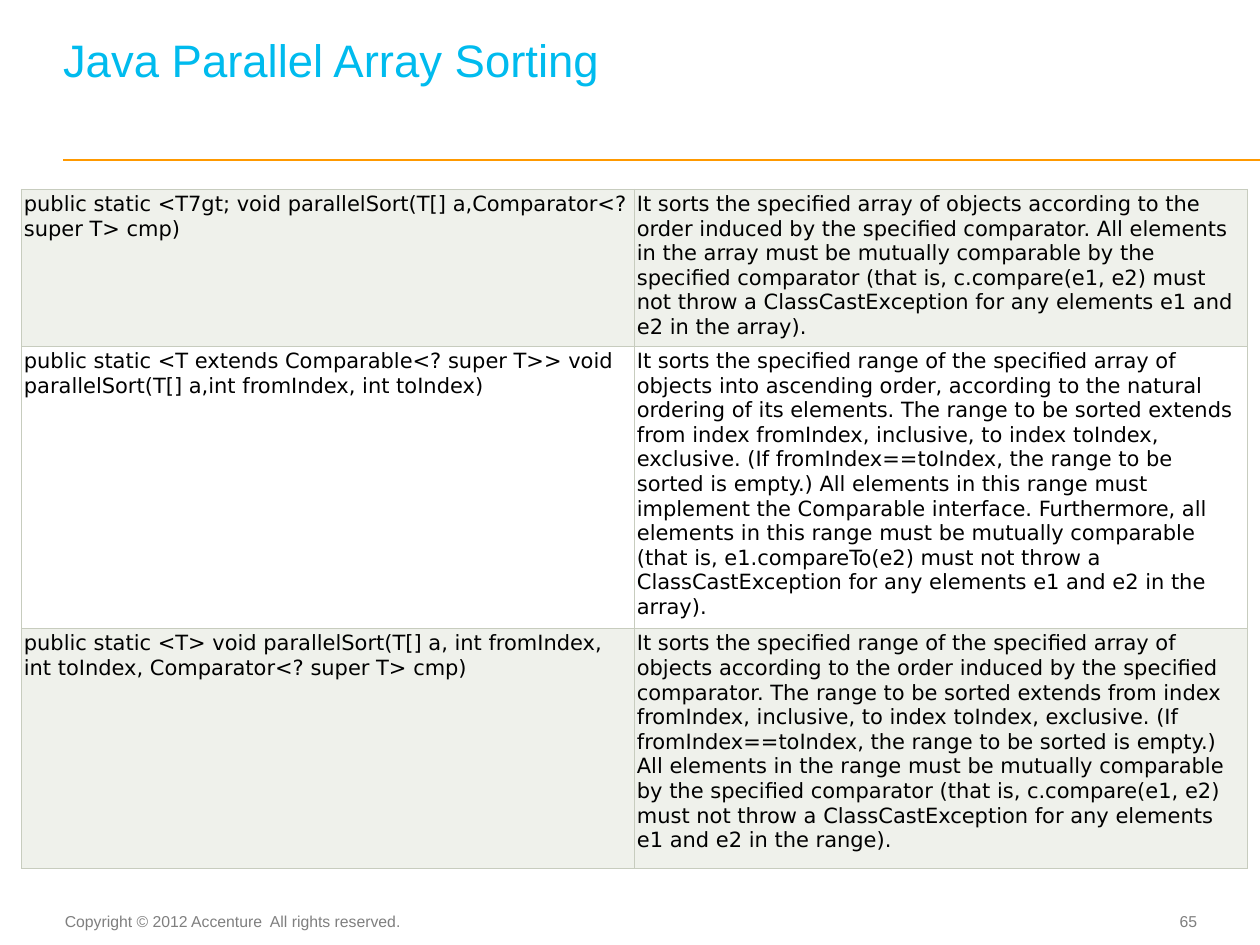
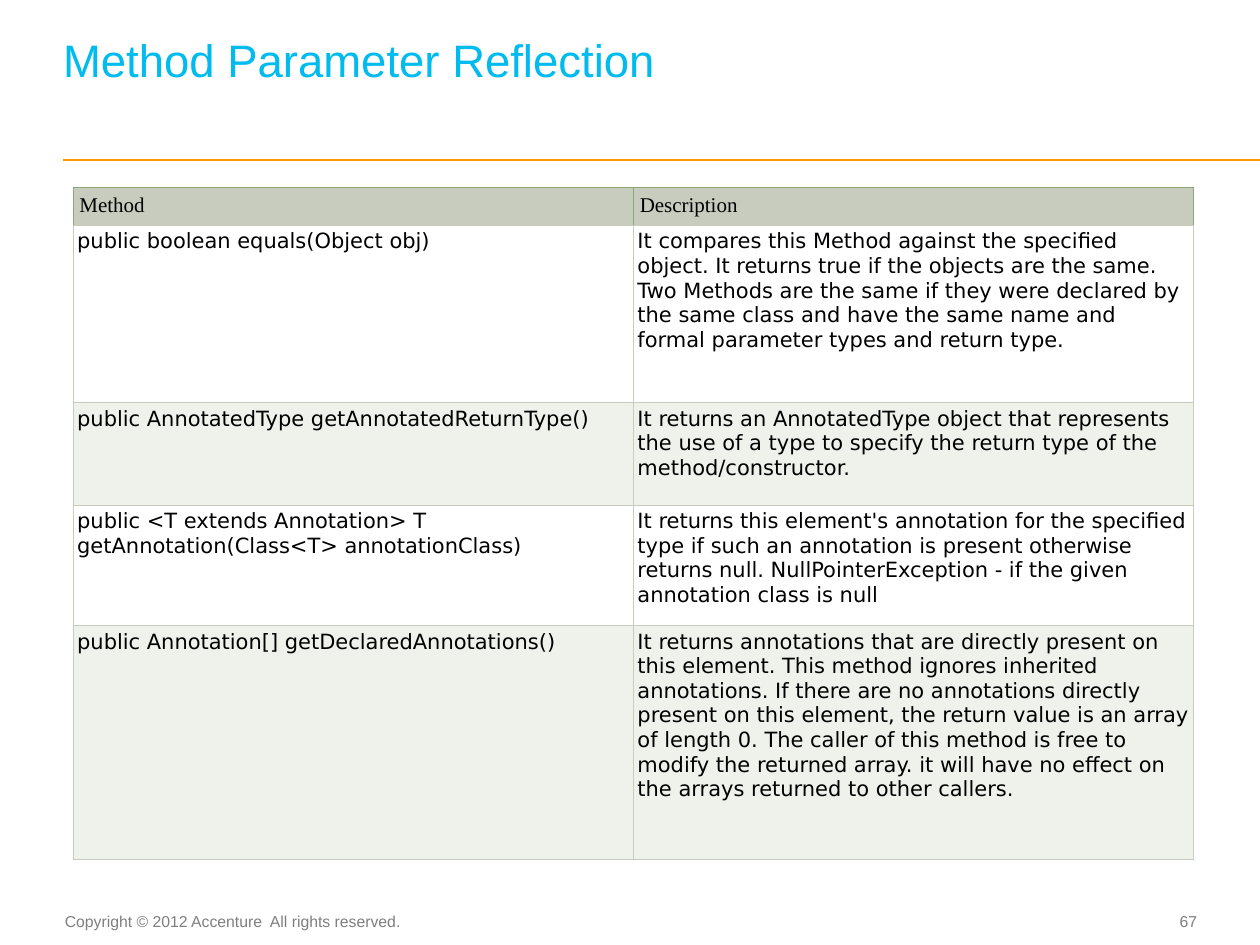
from dataclasses import dataclass

from lxml.etree import SubElement
from pptx import Presentation
from pptx.dml.color import RGBColor
from pptx.enum.shapes import MSO_CONNECTOR
from pptx.enum.text import MSO_ANCHOR, MSO_AUTO_SIZE, PP_ALIGN
from pptx.oxml.ns import qn
from pptx.util import Pt


@dataclass(frozen=True)
class Theme:
    title: str = "00BBEE"
    rule: str = "FF9900"
    footer: str = "7F7F7F"
    text: str = "000000"
    row: str = "FFFFFF"
    tinted_row: str = "EFF1EB"
    header_row: str = "C7CCBE"
    border: str = "C7CCBE"
    header_border: str = "90A47A"
    heading_font: str = "Arial"
    cell_font: str = "DejaVu Sans"
    header_font: str = "Times New Roman"
    title_size: float = 26
    cell_size: float = 12
    footer_size: float = 9
    rule_width: float = 1
    border_width: float = 0.6


THEME = Theme()
SLIDE_WIDTH, SLIDE_HEIGHT = 720, 540
MARGIN = 36
COPYRIGHT = "Copyright © 2012 Accenture  All rights reserved."

SORT_ROWS = [
    ("public static <T7gt; void parallelSort(T[] a,Comparator<? super T> cmp)",
     "It sorts the specified array of objects according to the order induced by the "
     "specified comparator. All elements in the array must be mutually comparable by "
     "the specified comparator (that is, c.compare(e1, e2) must not throw a "
     "ClassCastException for any elements e1 and e2 in the array)."),
    ("public static <T extends Comparable<? super T>> void parallelSort(T[] a,"
     "int fromIndex, int toIndex)",
     "It sorts the specified range of the specified array of objects into ascending "
     "order, according to the natural ordering of its elements. The range to be sorted "
     "extends from index fromIndex, inclusive, to index toIndex, exclusive. (If "
     "fromIndex==toIndex, the range to be sorted is empty.) All elements in this range "
     "must implement the Comparable interface. Furthermore, all elements in this range "
     "must be mutually comparable (that is, e1.compareTo(e2) must not throw a "
     "ClassCastException for any elements e1 and e2 in the array)."),
    ("public static <T> void parallelSort(T[] a, int fromIndex, int toIndex, "
     "Comparator<? super T> cmp)",
     "It sorts the specified range of the specified array of objects according to the "
     "order induced by the specified comparator. The range to be sorted extends from "
     "index fromIndex, inclusive, to index toIndex, exclusive. (If fromIndex==toIndex, "
     "the range to be sorted is empty.) All elements in the range must be mutually "
     "comparable by the specified comparator (that is, c.compare(e1, e2) must not throw "
     "a ClassCastException for any elements e1 and e2 in the range)."),
]

REFLECTION_ROWS = [
    ("Method", "Description"),
    ("public boolean equals(Object obj)",
     "It compares this Method against the specified object. It returns true if the "
     "objects are the same. Two Methods are the same if they were declared by the same "
     "class and have the same name and formal parameter types and return type."),
    ("public AnnotatedType getAnnotatedReturnType()",
     "It returns an AnnotatedType object that represents the use of a type to specify "
     "the return type of the method/constructor."),
    ("public <T extends Annotation> T getAnnotation(Class<T> annotationClass)",
     "It returns this element's annotation for the specified type if such an annotation "
     "is present otherwise returns null. NullPointerException - if the given annotation "
     "class is null"),
    ("public Annotation[] getDeclaredAnnotations()",
     "It returns annotations that are directly present on this element. This method "
     "ignores inherited annotations. If there are no annotations directly present on "
     "this element, the return value is an array of length 0. The caller of this method "
     "is free to modify the returned array. it will have no effect on the arrays "
     "returned to other callers."),
]


def style_font(p, name, size, color):
    p.font.name = name
    p.font.size = Pt(size)
    p.font.bold = False
    p.font.color.rgb = RGBColor.from_string(color)


def set_margins(box, left, top, right, bottom):
    """Set the insets of a text frame or a table cell."""
    box.margin_left, box.margin_top = Pt(left), Pt(top)
    box.margin_right, box.margin_bottom = Pt(right), Pt(bottom)


def place(sp, left, top, width, height):
    sp.left, sp.top, sp.width, sp.height = Pt(left), Pt(top), Pt(width), Pt(height)


def set_title(slide, text):
    sp = slide.shapes.title
    place(sp, MARGIN, 13.7, 645.8, 62)
    tf = sp.text_frame
    tf.auto_size = MSO_AUTO_SIZE.NONE
    tf.word_wrap = True
    tf.vertical_anchor = MSO_ANCHOR.BOTTOM
    # One line of space stays free below the title.
    set_margins(tf, 0, 0, 0, THEME.title_size)
    tf.text = text
    p = tf.paragraphs[0]
    p.alignment = PP_ALIGN.LEFT
    p.line_spacing = Pt(THEME.title_size)
    style_font(p, THEME.heading_font, THEME.title_size, THEME.title)


def add_title_rule(slide):
    y = Pt(91.4)
    line = slide.shapes.add_connector(
        MSO_CONNECTOR.STRAIGHT, Pt(MARGIN), y, Pt(SLIDE_WIDTH), y)
    line.line.color.rgb = RGBColor.from_string(THEME.rule)
    line.line.width = Pt(THEME.rule_width)
    SubElement(line._element.spPr, qn("a:effectLst"))


def add_footer_text(slide, text, box, margins, anchor, alignment):
    sp = slide.shapes.add_textbox(*map(Pt, box))
    tf = sp.text_frame
    tf.word_wrap = True
    tf.vertical_anchor = anchor
    set_margins(tf, *margins)
    tf.text = text
    p = tf.paragraphs[0]
    p.alignment = alignment
    style_font(p, THEME.heading_font, THEME.footer_size, THEME.footer)


def add_slide(prs, title, number):
    slide = prs.slides.add_slide(prs.slide_layouts[5])
    add_title_rule(slide)
    add_footer_text(slide, COPYRIGHT, (35.3, 517.7, 202.3, 18), (0, 3.6, 7.2, 3.6),
                    MSO_ANCHOR.TOP, PP_ALIGN.CENTER)
    add_footer_text(slide, str(number), (641.5, 517, 42.5, 19.4), (0, 0, 0, 0),
                    MSO_ANCHOR.MIDDLE, PP_ALIGN.RIGHT)
    set_title(slide, title)
    return slide


def set_borders(cell, side_color, bottom_color):
    """Draw the cell borders; must run before the fill is set."""
    tcPr = cell._tc.get_or_add_tcPr()
    for side in "LRTB":
        ln = SubElement(tcPr, qn(f"a:ln{side}"), w=str(Pt(THEME.border_width)))
        fill = SubElement(ln, qn("a:solidFill"))
        color = bottom_color if side == "B" else side_color
        SubElement(fill, qn("a:srgbClr"), val=color)


def fill_cell(cell, text, margin, fill, font, border):
    set_margins(cell, *[margin] * 4)
    set_borders(cell, border, THEME.border)
    cell.fill.solid()
    cell.fill.fore_color.rgb = RGBColor.from_string(fill)
    cell.text = text
    style_font(cell.text_frame.paragraphs[0], font, THEME.cell_size, THEME.text)


def add_method_table(slide, rows, left, top, column_width, heights, margin,
                     has_header=False):
    """Add a two-column table whose even rows are tinted."""
    table = slide.shapes.add_table(
        len(rows), 2, Pt(left), Pt(top), Pt(2 * column_width), Pt(sum(heights))).table
    table.first_row = has_header
    table.horz_banding = False
    for column in table.columns:
        column.width = Pt(column_width)
    for i, (texts, height) in enumerate(zip(rows, heights)):
        table.rows[i].height = Pt(height)
        if has_header and i == 0:
            look = (3.6, THEME.header_row, THEME.header_font, THEME.header_border)
        else:
            fill = THEME.row if i % 2 else THEME.tinted_row
            look = (margin, fill, THEME.cell_font, THEME.border)
        for cell, text in zip(table.rows[i].cells, texts):
            fill_cell(cell, text, *look)


def main():
    prs = Presentation()
    prs.slide_width, prs.slide_height = Pt(SLIDE_WIDTH), Pt(SLIDE_HEIGHT)

    slide = add_slide(prs, "Java Parallel Array Sorting", 65)
    add_method_table(slide, SORT_ROWS, left=12.2, top=108.2, column_width=350.3,
                     heights=[89.7, 152.6, 137], margin=1.5)

    slide = add_slide(prs, "Method Parameter Reflection", 67)
    add_method_table(slide, REFLECTION_ROWS, left=41.8, top=107.1, column_width=320.2,
                     heights=[18, 101.3, 58.6, 68.9, 133.5], margin=2.3,
                     has_header=True)

    prs.save("out.pptx")


if __name__ == "__main__":
    main()
